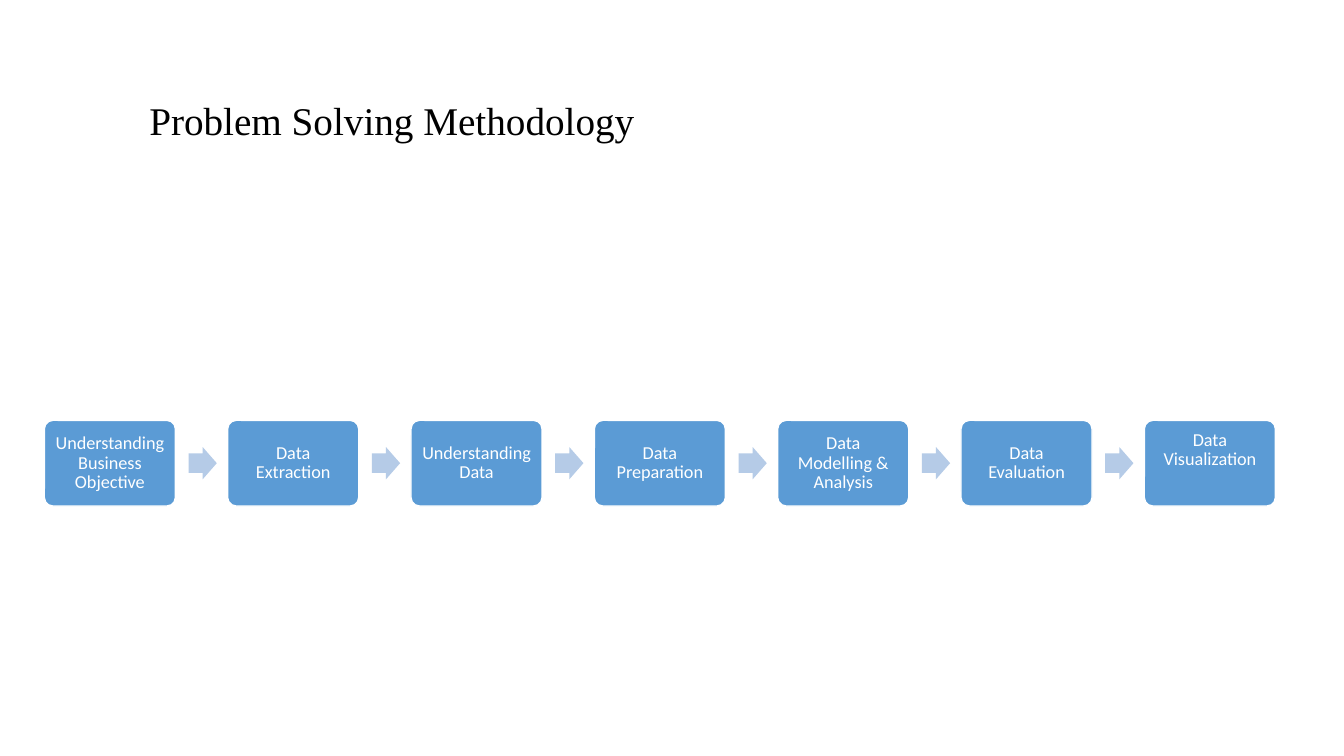
from dataclasses import dataclass
from pptx import Presentation
from pptx.dml.color import RGBColor as RGB
from pptx.enum.shapes import MSO_SHAPE as SHAPE
from pptx.enum.text import MSO_ANCHOR as ANCHOR, MSO_AUTO_SIZE as FIT, PP_ALIGN as ALIGN
from pptx.util import Inches, Pt


@dataclass(frozen=True)
class Theme:
    title_color: RGB = RGB.from_string("000000")
    box_fill: RGB = RGB.from_string("5B9BD5")
    box_text: RGB = RGB.from_string("FFFFFF")
    arrow_fill: RGB = RGB.from_string("B5CBE7")
    title_font: str = "Times New Roman"
    body_font: str = "Calibri"
    title_size: int = 28
    body_size: int = 13


THEME = Theme()
STEPS = [
    "Understanding Business Objective",
    "Data Extraction",
    "Understanding Data",
    "Data Preparation",
    "Data Modelling & Analysis",
    "Data Evaluation",
    "Data Visualization",
]


def apply(obj, values):
    for name, value in values.items():
        setattr(obj, name, value)


def place(sp, box):
    apply(sp, dict(zip(("left", "top", "width", "height"), map(Inches, box))))


def write(sp, text, font, size, color, align, margins):
    tf = sp.text_frame
    names = ("margin_left", "margin_top", "margin_right", "margin_bottom")
    apply(tf, dict(zip(names, map(Inches, margins))))
    apply(tf, {"word_wrap": True, "auto_size": FIT.NONE, "vertical_anchor": ANCHOR.MIDDLE})
    p = tf.paragraphs[0]
    apply(p, {"alignment": align, "line_spacing": 0.9})
    r = p.add_run()
    r.text = text
    apply(r.font, {"name": font, "size": Pt(size), "bold": False})
    r.font.color.rgb = color


def add_block(s, kind, box, fill, adjustments):
    sp = s.shapes.add_shape(kind, *map(Inches, box))
    sp.shadow.inherit = False
    sp.fill.solid()
    sp.fill.fore_color.rgb = fill
    sp.line.fill.background()
    for i, value in enumerate(adjustments):
        sp.adjustments[i] = value
    return sp


def add_title(s, box, text):
    sp = s.shapes.title
    place(sp, box)
    write(sp, text, THEME.title_font, THEME.title_size, THEME.title_color,
          ALIGN.LEFT, (0.24, 0.15, 0.1, 0.05))


def add_process(s, box, steps):
    left, top, width, height = box
    step_w, arrow_w, arrow_h, arrow_gap = 1.3, 0.28, 0.32, 0.13
    pitch = (width - step_w) / (len(steps) - 1)
    last = len(steps) - 1
    for i, text in enumerate(steps):
        x = left + i * pitch
        sp = add_block(s, SHAPE.ROUNDED_RECTANGLE, (x, top, step_w, height),
                       THEME.box_fill, [0.1])
        sp.line.color.rgb = THEME.box_text
        sp.line.width = Pt(1)
        bottom = 0.33 if i == last else 0.07
        write(sp, text, THEME.body_font, THEME.body_size, THEME.box_text,
              ALIGN.CENTER, (0.07, 0.07, 0.07, bottom))
        if i < last:
            arrow_top = top + (height - arrow_h) / 2
            add_block(s, SHAPE.RIGHT_ARROW,
                      (x + step_w + arrow_gap, arrow_top, arrow_w, arrow_h),
                      THEME.arrow_fill, [0.6, 0.5])


def build_methodology(prs):
    s = prs.slides.add_slide(prs.slide_layouts[5])
    add_title(s, (1.24, 0.7, 10.19, 0.94), "Problem Solving Methodology")
    add_process(s, (0.44, 4.17, 12.21, 0.85), STEPS)


prs = Presentation()
apply(prs, {"slide_width": Inches(13.33), "slide_height": Inches(7.5)})
build_methodology(prs)
prs.save("out.pptx")
